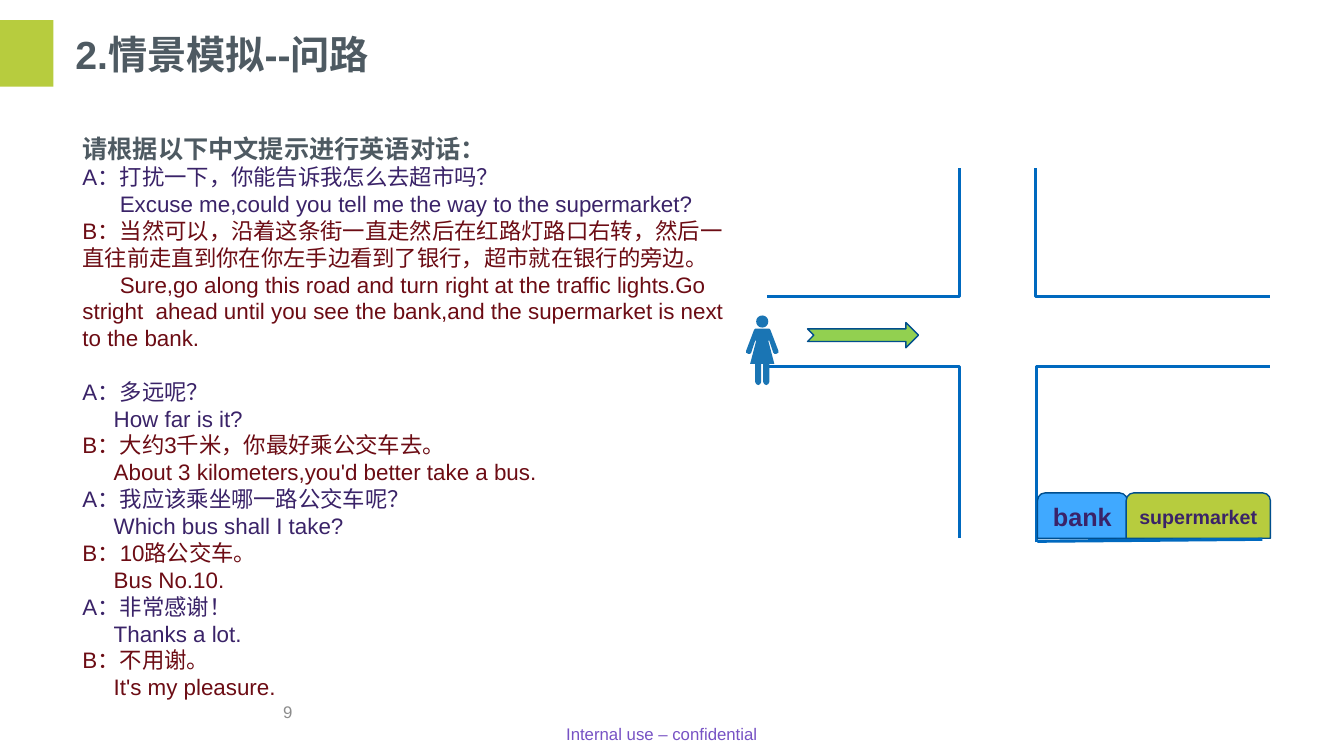
"""Build a slide that practises asking the way, with a dialogue and a street map."""
from dataclasses import dataclass
from math import cos, pi, sin

from lxml.etree import SubElement
from pptx import Presentation
from pptx.dml.color import RGBColor
from pptx.enum.shapes import MSO_CONNECTOR, MSO_SHAPE
from pptx.enum.text import MSO_ANCHOR, PP_ALIGN
from pptx.oxml.ns import qn
from pptx.util import Inches, Pt

GREY, PURPLE, RED = "4E5A62", "3A2368", "6C0C14"
LIME, ROAD_BLUE, OUTLINE = "B7CC3E", "0069BF", "004E8D"


@dataclass
class Line:
    """A paragraph of text with its look."""

    text: str
    size: float
    color: str
    bold: bool = False
    align: PP_ALIGN = PP_ALIGN.LEFT
    spacing: float = 1.0
    indent: float = 0
    before: float = 0


@dataclass
class Block:
    """A filled preset shape, with an optional label."""

    kind: MSO_SHAPE
    area: tuple[float, float, float, float]
    fill: str
    outline: str | None = None
    label: Line | None = None


@dataclass
class Road:
    """A road edge from one point to another."""

    start: tuple[float, float]
    end: tuple[float, float]
    kind: MSO_CONNECTOR = MSO_CONNECTOR.ELBOW


@dataclass
class Turn:
    """One speaker's line in Chinese and in English."""

    chinese: str
    english: str
    indent: float = 0.31
    before: float = 0


TURNS = [
    Turn("A：打扰一下，你能告诉我怎么去超市吗？",
         "Excuse me,could you tell me the way to the supermarket?", 0.37),
    Turn("B：当然可以，沿着这条街一直走然后在红路灯路口右转，然后一直往前走直到你在你左手边看到了银行，超市就在银行的旁边。",
         "Sure,go along this road and turn right at the traffic lights.Go stright  ahead "
         "until you see the bank,and the supermarket is next to the bank.", 0.37),
    Turn("A：多远呢？", "How far is it?", before=19),
    Turn("B：大约3千米，你最好乘公交车去。", "About 3 kilometers,you'd better take a bus."),
    Turn("A：我应该乘坐哪一路公交车呢？", "Which bus shall I take?"),
    Turn("B：10路公交车。", "Bus No.10."),
    Turn("A：非常感谢！", "Thanks a lot."),
    Turn("B：不用谢。", "It's my pleasure."),
]

ROADS = [
    Road((10.27, 1.67), (12.6, 2.94)),
    Road((10.28, 5.38), (12.6, 3.64)),
    Road((9.52, 1.67), (7.61, 2.94)),
    Road((9.52, 5.34), (7.61, 3.64)),
]
KERB = Road((10.29, 5.37), (12.52, 5.35), MSO_CONNECTOR.STRAIGHT)

BLOCKS = [
    Block(MSO_SHAPE.ROUND_2_SAME_RECTANGLE, (10.29, 4.89, 0.89, 0.45), "40A9FF", OUTLINE,
          Line("bank", 18, PURPLE, True, PP_ALIGN.CENTER)),
    Block(MSO_SHAPE.ROUND_2_SAME_RECTANGLE, (11.17, 4.89, 1.43, 0.45), LIME, OUTLINE,
          Line("supermarket", 14, PURPLE, True, PP_ALIGN.CENTER)),
    Block(MSO_SHAPE.NOTCHED_RIGHT_ARROW, (8.01, 3.2, 1.1, 0.25), "92D050", OUTLINE),
]

WALKER_X, HEAD_Y, HEAD_RADIUS = 7.56, 3.19, 0.06
WALKER_SIDE = [
    (0.05, 3.26), (0.07, 3.26), (0.08, 3.27), (0.16, 3.48), (0.16, 3.5), (0.14, 3.51),
    (0.12, 3.51), (0.11, 3.5), (0.07, 3.38), (0.06, 3.38), (0.12, 3.61), (0.07, 3.61),
    (0.07, 3.79), (0.06, 3.81), (0.04, 3.82), (0.02, 3.81), (0.01, 3.79), (0.01, 3.61),
]


def rgb(color: str) -> RGBColor:
    """Turn a hex string into a colour."""
    return RGBColor.from_string(color)


def write_lines(frame, lines: list[Line], anchor: MSO_ANCHOR = MSO_ANCHOR.TOP) -> None:
    """Fill a text frame with paragraphs."""
    frame.word_wrap = True
    frame.vertical_anchor = anchor
    for index, line in enumerate(lines):
        para = frame.paragraphs[0] if index == 0 else frame.add_paragraph()
        para.text = line.text
        para.alignment = line.align
        para.line_spacing = line.spacing
        para.space_before = Pt(line.before)
        if line.indent:
            properties = para._p.get_or_add_pPr()
            properties.set("marL", "0")
            properties.set("indent", str(Inches(line.indent)))
        para.font.name = "Arial"
        para.font.size = Pt(line.size)
        para.font.bold = line.bold
        para.font.color.rgb = rgb(line.color)


def add_text(page, area: tuple[float, float, float, float], lines: list[Line],
             anchor: MSO_ANCHOR = MSO_ANCHOR.TOP) -> None:
    """Add a text box."""
    box = page.shapes.add_textbox(*map(Inches, area))
    write_lines(box.text_frame, lines, anchor)


def add_block(page, block: Block) -> None:
    """Add a preset shape with its label."""
    shape = page.shapes.add_shape(block.kind, *map(Inches, block.area))
    shape.shadow.inherit = False
    shape.fill.solid()
    shape.fill.fore_color.rgb = rgb(block.fill)
    if block.outline:
        shape.line.color.rgb = rgb(block.outline)
        shape.line.width = Pt(1)
    else:
        shape.line.fill.background()
    if block.label:
        write_lines(shape.text_frame, [block.label], MSO_ANCHOR.MIDDLE)


def add_road(page, road: Road) -> None:
    """Add a road edge, turning its corner right above or below its start."""
    edge = page.shapes.add_connector(road.kind, *map(Inches, road.start + road.end))
    edge.line.color.rgb = rgb(ROAD_BLUE)
    edge.line.width = Pt(2.25)
    properties = edge._element.spPr
    SubElement(properties, qn("a:effectLst"))
    if road.kind == MSO_CONNECTOR.ELBOW:
        guides = properties.find(qn("a:prstGeom")).find(qn("a:avLst"))
        SubElement(guides, qn("a:gd"), name="adj1", fmla="val 0")


def to_lengths(points: list[tuple[float, float]]) -> list[tuple[int, int]]:
    """Turn points in inches into whole slide units."""
    return [(Inches(x), Inches(y)) for x, y in points]


def add_walker(page) -> None:
    """Add the walking woman: a mirrored body and a round head."""
    right = [(WALKER_X + x, y) for x, y in WALKER_SIDE]
    left = [(WALKER_X - x, y) for x, y in reversed(WALKER_SIDE)]
    body = to_lengths(right + left)
    head = to_lengths([(WALKER_X + HEAD_RADIUS * cos(step * pi / 12),
                        HEAD_Y + HEAD_RADIUS * sin(step * pi / 12)) for step in range(24)])
    builder = page.shapes.build_freeform(*body[0])
    builder.add_line_segments(body[1:], close=True)
    builder.move_to(*head[0])
    builder.add_line_segments(head[1:], close=True)
    walker = builder.convert_to_shape()
    walker.shadow.inherit = False
    walker.fill.solid()
    walker.fill.fore_color.rgb = rgb("1A75B4")
    walker.line.fill.background()


def main() -> None:
    """Build and save the deck."""
    deck = Presentation()
    deck.slide_width, deck.slide_height = Inches(13.33), Inches(7.5)
    page = deck.slides.add_slide(deck.slide_layouts[6])

    add_text(page, (5.05, 7.15, 3.03, 0.28), [
        Line("Internal use – confidential", 12, "7752C4", align=PP_ALIGN.CENTER, spacing=0.9)])
    add_block(page, Block(MSO_SHAPE.RECTANGLE, (0, 0.2, 0.53, 0.66), LIME))
    add_text(page, (0, 6.86, 3, 0.4), [Line("9", 12, "8C8C8C", align=PP_ALIGN.RIGHT)],
             MSO_ANCHOR.MIDDLE)
    add_text(page, (0.65, 0.25, 12.29, 0.57), [Line("2.情景模拟--问路", 28, GREY, True)])

    dialogue = [Line("请根据以下中文提示进行英语对话：", 18, GREY, True, spacing=1.5)]
    for turn in TURNS:
        color = PURPLE if turn.chinese.startswith("A") else RED
        dialogue.append(Line(turn.chinese, 16, color, before=turn.before))
        dialogue.append(Line(turn.english, 16, color, indent=turn.indent))
    add_text(page, (0.72, 1.12, 6.67, 6.34), dialogue)

    for road in ROADS:
        add_road(page, road)
    for block in BLOCKS:
        add_block(page, block)
    add_walker(page)
    add_road(page, KERB)
    deck.save("out.pptx")


if __name__ == "__main__":
    main()
